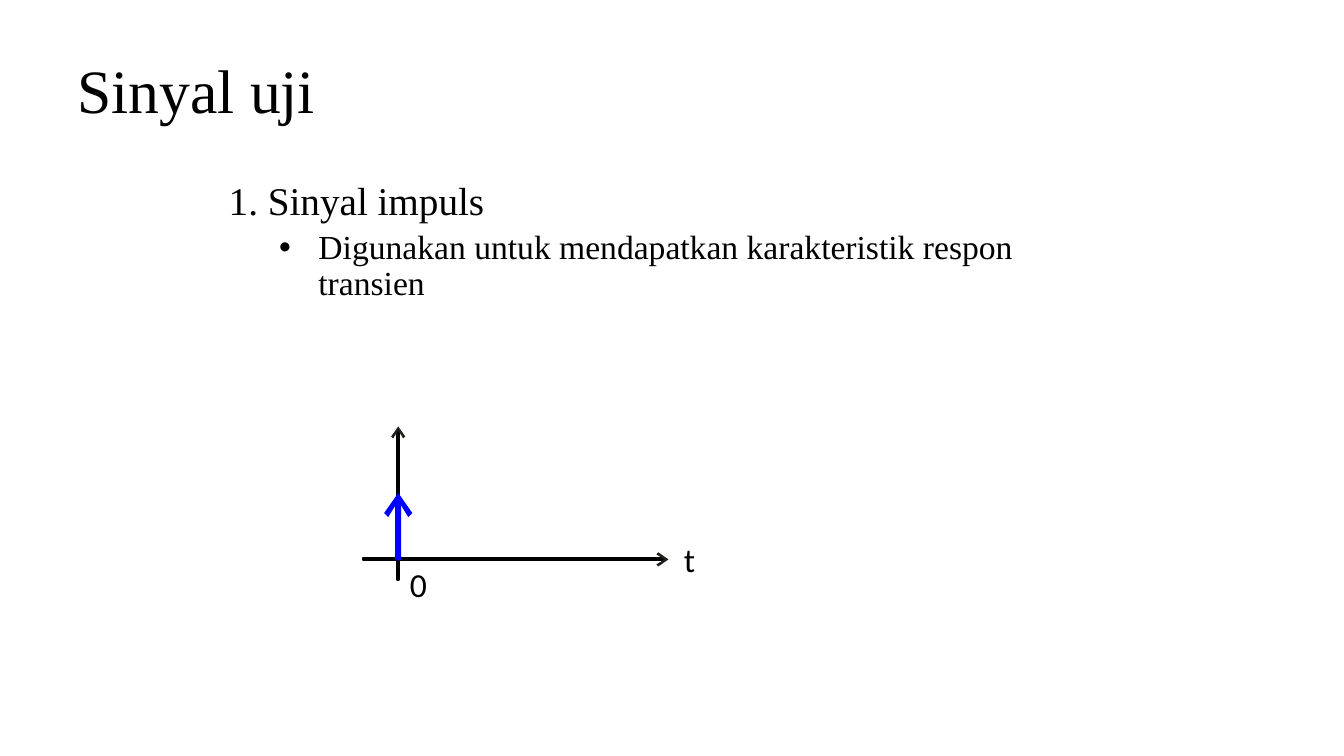
from lxml import etree
from pptx import Presentation
from pptx.dml.color import RGBColor
from pptx.enum.shapes import MSO_SHAPE
from pptx.enum.text import MSO_ANCHOR, PP_ALIGN
from pptx.oxml.ns import qn
from pptx.util import Inches, Pt

RECTANGLE = MSO_SHAPE.RECTANGLE
TOP, MIDDLE = MSO_ANCHOR.TOP, MSO_ANCHOR.MIDDLE
LEFT, CENTER = PP_ALIGN.LEFT, PP_ALIGN.CENTER
BLACK = RGBColor(0x00, 0x00, 0x00)
CHARCOAL = RGBColor(0x24, 0x21, 0x1D)
BLUE = RGBColor(0x00, 0x00, 0xFF)

# Arrowhead outline: distance back from the tip, distance from the axis
HEAD = [(0, 0), (0.1, 0.07), (0.12, 0.05), (0.04, 0), (0.12, -0.05), (0.1, -0.07)]


class SignalSlide:
    serif = "Times New Roman"
    sans = "Calibri"

    def __init__(self, deck):
        self.page = deck.slides.add_slide(deck.slide_layouts[6])

    def text(self, area, lines, size, font, anchor=TOP, align=LEFT, wrap=True):
        box = self.page.shapes.add_textbox(*map(Inches, area))
        frame = box.text_frame
        frame.word_wrap = wrap
        frame.vertical_anchor = anchor
        frame.text = "\n".join(lines)
        for para in frame.paragraphs:
            para.alignment = align
            self.style(para, size, font)
        return frame

    def style(self, para, size, font):
        for span in para.runs:
            span.font.size = Pt(size)
            span.font.name = font
            span.font.color.rgb = BLACK

    def indent(self, para, margin, hanging, bullet=None):
        props = para._p.get_or_add_pPr()
        props.set("marL", str(Inches(margin)))
        props.set("indent", str(-Inches(hanging)))
        if bullet:
            etree.SubElement(props, qn("a:buFont"), typeface="Arial")
            etree.SubElement(props, qn("a:buChar"), char=bullet)
        else:
            etree.SubElement(props, qn("a:buNone"))

    def paint(self, shape, color, outline=None):
        shape.shadow.inherit = False
        shape.fill.solid()
        shape.fill.fore_color.rgb = color
        if outline is None:
            shape.line.fill.background()
        else:
            shape.line.color.rgb = outline
            shape.line.width = Pt(1.5)

    def shaft(self, area, color, outline=None):
        shape = self.page.shapes.add_shape(RECTANGLE, *map(Inches, area))
        self.paint(shape, color, outline)

    def head(self, x, y, color, upward, scale=1):
        points = []
        for back, side in HEAD:
            dx, dy = (side, back) if upward else (-back, side)
            points.append((Inches(x + dx * scale), Inches(y + dy * scale)))
        builder = self.page.shapes.build_freeform(*points[0])
        builder.add_line_segments(points[1:], close=True)
        self.paint(builder.convert_to_shape(), color)


def main():
    deck = Presentation()
    deck.slide_width, deck.slide_height = Inches(13.33), Inches(7.5)
    slide = SignalSlide(deck)

    # Title
    title = slide.text((0.67, 0.3, 12, 1.25), ["Sinyal uji"], 44, slide.serif, MIDDLE)
    title.paragraphs[0].line_spacing = 0.9

    # Numbered heading and its bullet
    body = slide.text(
        (2.17, 1.75, 9, 1.5),
        ["1. Sinyal impuls", "Digunakan untuk mendapatkan karakteristik respon transien"],
        28, slide.serif)
    heading, detail = body.paragraphs
    slide.indent(heading, 0.58, 0.58)
    detail.level = 1
    slide.indent(detail, 0.89, 0.39, "•")
    slide.style(detail, 24, slide.serif)
    detail.space_before = Pt(5)
    for para in body.paragraphs:
        para.line_spacing = 0.9

    # Axis labels
    for label, area in (("t", (6.67, 5.3, 0.34, 0.44)), ("0", (3.96, 5.55, 0.38, 0.3))):
        slide.text(area, [label], 24, slide.sans, align=CENTER, wrap=False)

    # Vertical axis
    slide.shaft((3.94, 4.27, 0.02, 1.48), CHARCOAL, BLACK)
    slide.head(3.95, 4.23, CHARCOAL, upward=True)

    # Time axis
    slide.shaft((3.6, 5.54, 2.99, 0.02), CHARCOAL, BLACK)
    slide.head(6.63, 5.55, CHARCOAL, upward=False)

    # Impulse
    slide.shaft((3.92, 4.96, 0.06, 0.6), BLUE)
    slide.head(3.95, 4.89, BLUE, upward=True, scale=2)

    deck.save("out.pptx")


if __name__ == "__main__":
    main()
